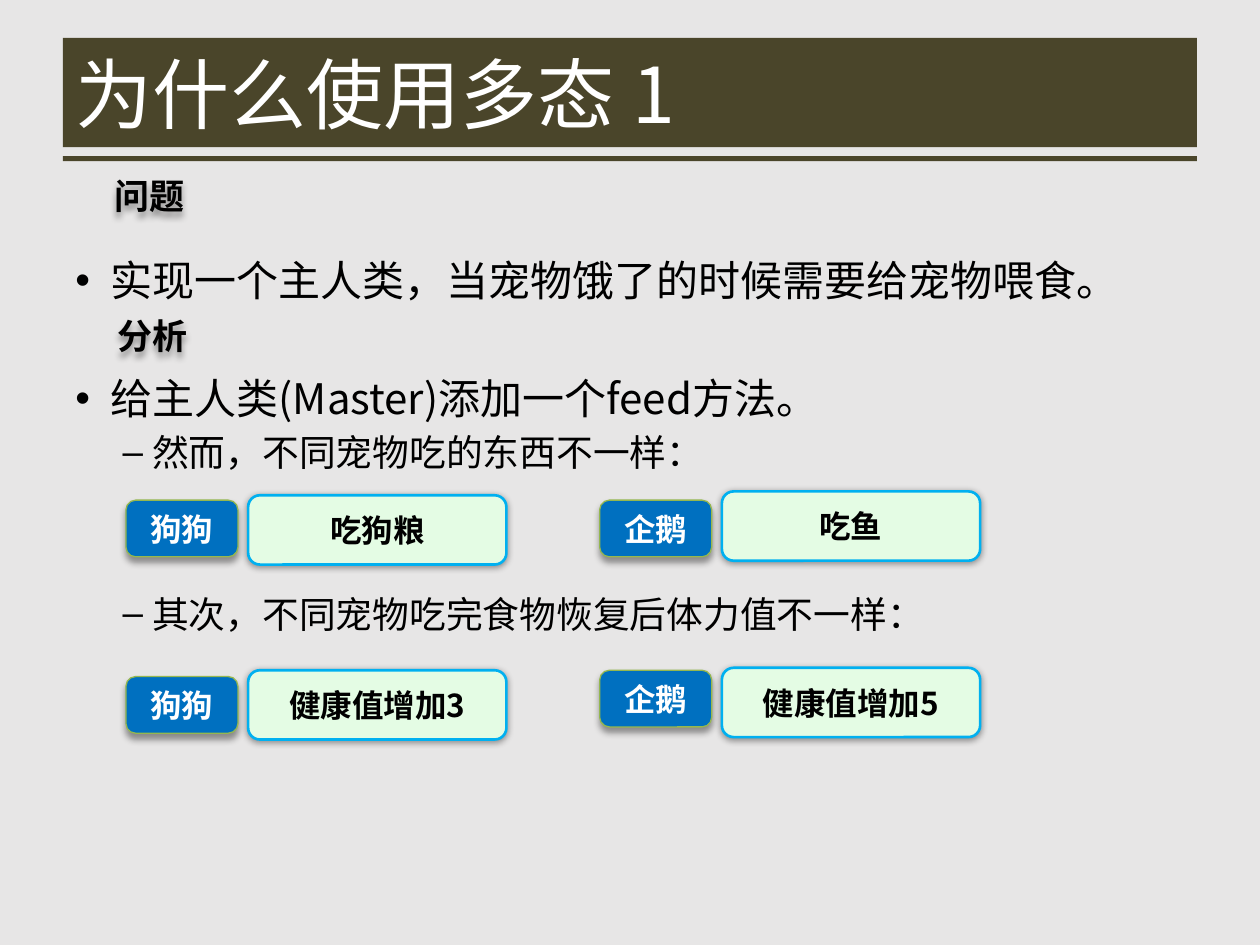
from lxml.etree import SubElement
from pptx import Presentation
from pptx.dml.color import RGBColor
from pptx.enum.shapes import MSO_SHAPE as Shape
from pptx.enum.text import MSO_ANCHOR as Anchor, PP_ALIGN as Align
from pptx.oxml.ns import qn
from pptx.util import Pt

FONT = "Noto Sans CJK SC"
BROWN, BLACK, WHITE = "4A452A", "000000", "FFFFFF"
TITLE = "为什么使用多态 1"
HEADINGS = [("问题", 58.3, 95.8), ("分析", 59.8, 175.7)]
BULLETS = [
    (0, 0, "实现一个主人类，当宠物饿了的时候需要给宠物喂食。"),
    (0, 36.4, "给主人类(Master)添加一个feed方法。"),
    (1, 1.9, "然而，不同宠物吃的东西不一样："),
    (1, 65.5, "其次，不同宠物吃完食物恢复后体力值不一样："),
]
LEVELS = [
    {"mark": "•", "size": 24, "line": 31, "left": 20.25, "hang": 20.25},
    {"mark": "–", "size": 21, "line": 27, "left": 43.9, "hang": 16.9},
]
PET_COLUMNS = {"狗狗": 72, "企鹅": 342.7}
PET_FACTS = [
    ("狗狗", 285.8, "吃狗粮", 283),
    ("企鹅", 285.8, "吃鱼", 280.8),
    ("狗狗", 386.6, "健康值增加3", 383),
    ("企鹅", 383, "健康值增加5", 381.6),
]
FACT_OFFSET = 69.8
PET_STYLE = {"size": (64, 32.4), "fill": "0070C0", "line": "95B74F",
             "weight": 0.75, "drop": 3, "color": WHITE, "font": "Arial"}
FACT_STYLE = {"size": (147.6, 39.6), "fill": "E4FCE4", "line": "00B0F0",
              "weight": 1.5, "drop": 1, "color": BLACK, "font": FONT}


def rgb(code):
    return RGBColor.from_string(code)


def style(para, size, color, bold=False, name=FONT):
    font = para.font
    font.size, font.bold, font.name = Pt(size), bold, name
    font.color.rgb = rgb(color)
    SubElement(font._element, qn("a:ea"), typeface=FONT)


def add_shadow(shape, drop):
    shape.shadow.inherit = False
    effects = shape._element.spPr.find(qn("a:effectLst"))
    outer = SubElement(effects, qn("a:outerShdw"), blurRad=str(Pt(4)),
                       dist=str(Pt(drop)), dir="5400000", rotWithShape="0")
    color = SubElement(outer, qn("a:srgbClr"), val=BLACK)
    SubElement(color, qn("a:alpha"), val="40000")


def add_band(page, top, height):
    band = page.shapes.add_shape(Shape.RECTANGLE, Pt(36), Pt(top), Pt(648), Pt(height))
    band.shadow.inherit = False
    band.fill.solid()
    band.fill.fore_color.rgb = rgb(BROWN)
    band.line.fill.background()


def add_title(page):
    add_band(page, 21.6, 62.6)
    add_band(page, 89.3, 2.9)
    title = page.shapes.title
    title.left, title.top, title.width, title.height = Pt(36), Pt(21.6), Pt(648), Pt(62.6)
    frame = title.text_frame
    frame.text = TITLE
    frame.vertical_anchor = Anchor.MIDDLE
    para = frame.paragraphs[0]
    para.alignment = Align.LEFT
    style(para, 44, WHITE)
    page.shapes._spTree.append(title._element)


def add_bullets(page):
    frame = page.shapes.add_textbox(Pt(36), Pt(139.7), Pt(648), Pt(342.7)).text_frame
    frame.word_wrap = True
    for index, (depth, gap, text) in enumerate(BULLETS):
        level = LEVELS[depth]
        para = frame.add_paragraph() if index else frame.paragraphs[0]
        para.text, para.level = text, depth
        para.space_before, para.line_spacing = Pt(gap), Pt(level["line"])
        props = para._p.get_or_add_pPr()
        props.set("marL", str(Pt(level["left"])))
        props.set("indent", str(-Pt(level["hang"])))
        SubElement(props, qn("a:buFont"), typeface="Arial")
        SubElement(props, qn("a:buChar"), char=level["mark"])
        style(para, level["size"], BLACK)


def add_heading(page, text, left, top):
    box = page.shapes.add_textbox(Pt(left), Pt(top), Pt(55.4), Pt(31.7))
    frame = box.text_frame
    frame.text = text
    frame.word_wrap = False
    frame.vertical_anchor = Anchor.MIDDLE
    style(frame.paragraphs[0], 20, BLACK, True)
    add_shadow(box, 3)


def add_card(page, text, left, top, look):
    width, height = look["size"]
    card = page.shapes.add_shape(Shape.ROUNDED_RECTANGLE, Pt(left), Pt(top),
                                 Pt(width), Pt(height))
    card.adjustments[0] = 0.17
    card.fill.solid()
    card.fill.fore_color.rgb = rgb(look["fill"])
    card.line.color.rgb = rgb(look["line"])
    card.line.width = Pt(look["weight"])
    add_shadow(card, look["drop"])
    frame = card.text_frame
    frame.text = text
    frame.word_wrap = False
    frame.vertical_anchor = Anchor.MIDDLE
    para = frame.paragraphs[0]
    para.alignment = Align.CENTER
    style(para, 18, look["color"], True, look["font"])


def main():
    deck = Presentation()
    deck.slide_width, deck.slide_height = Pt(720), Pt(540)
    page = deck.slides.add_slide(deck.slide_layouts[5])
    page.background.fill.solid()
    page.background.fill.fore_color.rgb = rgb("E7E6E6")
    add_title(page)
    add_bullets(page)
    for heading in HEADINGS:
        add_heading(page, *heading)
    for pet, pet_top, fact, fact_top in PET_FACTS:
        left = PET_COLUMNS[pet]
        add_card(page, fact, left + FACT_OFFSET, fact_top, FACT_STYLE)
        add_card(page, pet, left, pet_top, PET_STYLE)
    deck.save("out.pptx")


if __name__ == "__main__":
    main()
